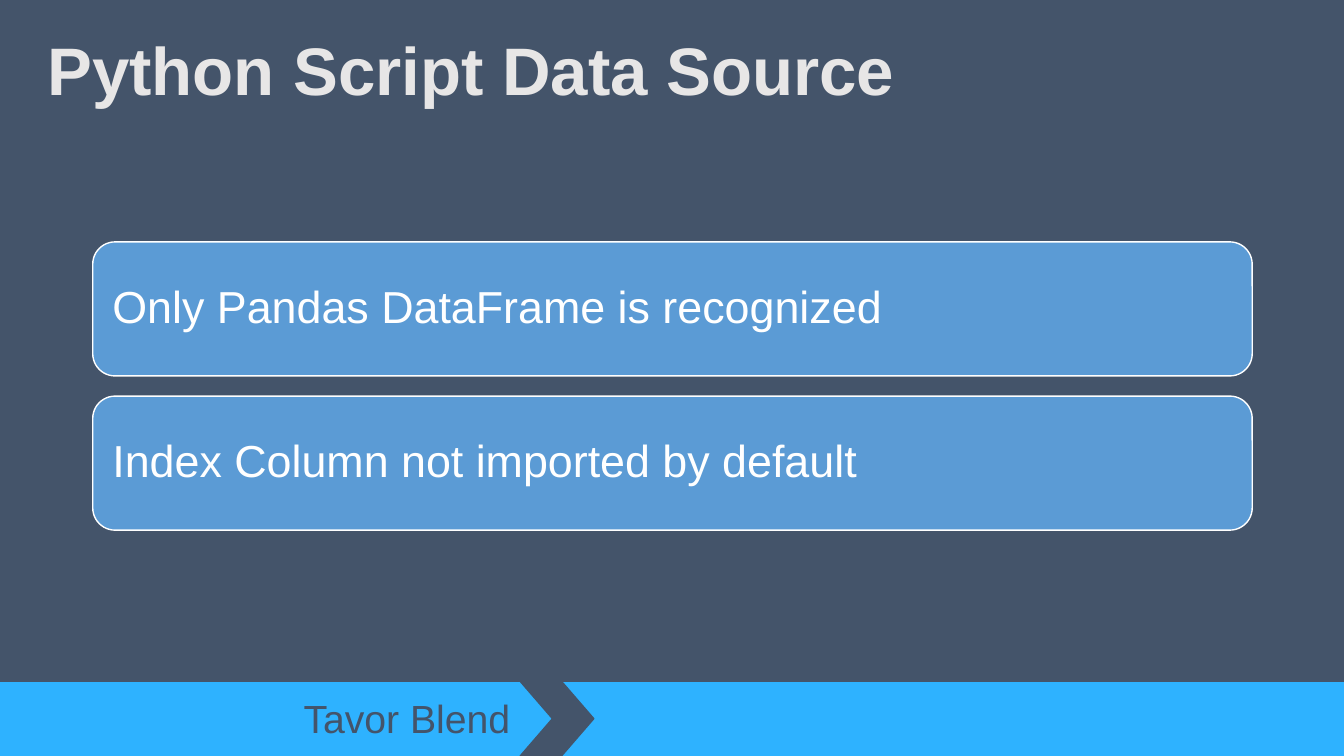
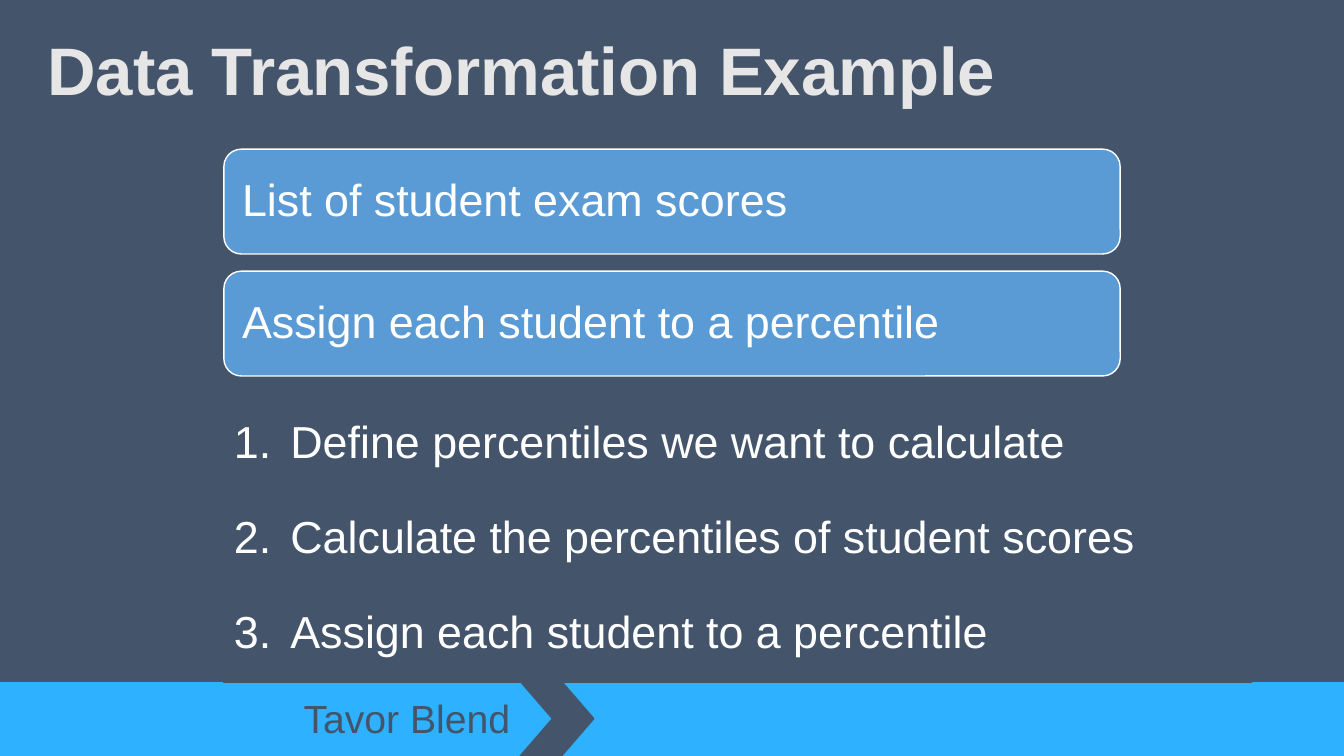
import dataclasses
from typing import Any

import pptx
import pptx.dml.color
import pptx.enum.shapes
import pptx.enum.text
import pptx.oxml.ns
import pptx.util
from lxml import etree

Inches = pptx.util.Inches
Pt = pptx.util.Pt
Geometry = pptx.enum.shapes.MSO_SHAPE
Align = pptx.enum.text.PP_ALIGN
Anchor = pptx.enum.text.MSO_ANCHOR
qn = pptx.oxml.ns.qn

FONT = "Arial"
SLATE = "44546A"
BRIGHT = "2EB2FF"
CARD_BLUE = "5B9BD5"
WHITE = "FFFFFF"
TITLE_GREY = "E7E6E6"
SLIDE_WIDTH, SLIDE_HEIGHT = 13.33, 7.5
TITLE_ONLY, TITLE_AND_CONTENT = 5, 1
FIRST_MASTER_ID = 100


@dataclasses.dataclass(frozen=True)
class Box:
    """Position and size in inches."""

    left: float
    top: float
    width: float
    height: float


@dataclasses.dataclass(frozen=True)
class CardStack:
    """Equal cards under one another, with a fixed gap."""

    first: Box
    gap: float
    texts: tuple[str, ...]


@dataclasses.dataclass(frozen=True)
class Topic:
    """Content of one slide."""

    title: str
    cards: CardStack
    steps: tuple[str, ...] = ()


TITLE_BOX = Box(0.37, 0.01, 11.5, 1.45)
STEPS_BOX = Box(2.22, 3.79, 10.19, 2.98)
BAND_BOX = Box(0, 6.77, SLIDE_WIDTH, 0.73)
CHEVRON_BOX = Box(5.16, 6.76, 0.73, 0.74)
SECTION_BOX = Box(2.26, 6.84, 2.9, 0.57)

TOPICS = (
    Topic(
        "Python Script Data Source",
        CardStack(
            Box(0.92, 2.4, 11.5, 1.33),
            0.2,
            ("Only Pandas DataFrame is recognized", "Index Column not imported by default"),
        ),
    ),
    Topic(
        "Data Transformation Example",
        CardStack(
            Box(2.22, 1.48, 8.89, 1.04),
            0.17,
            ("List of student exam scores", "Assign each student to a percentile"),
        ),
        (
            "Define percentiles we want to calculate",
            "Calculate the percentiles of student scores",
            "Assign each student to a percentile",
        ),
    ),
)


def rgb(value: str) -> pptx.dml.color.RGBColor:
    """Turn a hex string into a colour."""
    return pptx.dml.color.RGBColor.from_string(value)


def lengths(box: Box) -> tuple[int, ...]:
    """Give the box as four lengths."""
    return tuple(Inches(value) for value in dataclasses.astuple(box))


def place(shape: Any, box: Box) -> None:
    """Move and size a shape."""
    shape.left, shape.top, shape.width, shape.height = lengths(box)


def outline(shape: Any, color: str, width: float) -> None:
    """Draw a plain line around a shape."""
    shape.line.color.rgb = rgb(color)
    shape.line.width = Pt(width)


def format_text(
    frame: Any, size: float, color: str, bold: bool = False,
    align: Any = Align.LEFT, spacing: float = 1.0, anchor: Any = Anchor.MIDDLE,
) -> None:
    """Format all the text of a frame alike."""
    frame.word_wrap = True
    frame.auto_size = pptx.enum.text.MSO_AUTO_SIZE.NONE
    frame.vertical_anchor = anchor
    for paragraph in frame.paragraphs:
        paragraph.alignment = align
        paragraph.line_spacing = spacing
        for run in paragraph.runs:
            run.font.name = FONT
            run.font.size = Pt(size)
            run.font.bold = bold
            run.font.color.rgb = rgb(color)


def add_filled(slide: Any, geometry: Any, box: Box, fill: str, line: str) -> Any:
    """Add a filled preset shape without shadow."""
    shape = slide.shapes.add_shape(geometry, *lengths(box))
    shape.shadow.inherit = False
    shape.fill.solid()
    shape.fill.fore_color.rgb = rgb(fill)
    outline(shape, line, 1)
    return shape


def build_master(master: Any, slide: Any) -> None:
    """Give the master its background and footer, drawn first on a slide."""
    master.background.fill.solid()
    master.background.fill.fore_color.rgb = rgb(SLATE)
    band = add_filled(slide, Geometry.RECTANGLE, BAND_BOX, BRIGHT, BRIGHT)
    chevron = add_filled(slide, Geometry.CHEVRON, CHEVRON_BOX, SLATE, SLATE)
    chevron.adjustments[0] = 0.438
    section = slide.shapes.add_textbox(*lengths(SECTION_BOX))
    section.text_frame.text = "Tavor Blend"
    format_text(section.text_frame, 28, SLATE, align=Align.RIGHT)
    for shape_id, part in enumerate((band, chevron, section), FIRST_MASTER_ID):
        part.element.find(".//" + qn("p:cNvPr")).set("id", str(shape_id))
        master.shapes.element.append(part.element)


def add_steps(body: Any, steps: tuple[str, ...]) -> None:
    """Fill the body placeholder with a numbered list."""
    place(body, STEPS_BOX)
    outline(body, SLATE, 0.75)
    frame = body.text_frame
    frame.text = "\n".join(steps)
    format_text(frame, 32, WHITE, spacing=1.5, anchor=Anchor.TOP)
    indent = Inches(0.56)
    for paragraph in frame.paragraphs:
        paragraph.space_before = Pt(10)
        properties = paragraph._p.get_or_add_pPr()
        properties.set("marL", str(indent))
        properties.set("indent", str(-indent))
        etree.SubElement(properties, qn("a:buFont")).set("typeface", "+mj-lt")
        etree.SubElement(properties, qn("a:buAutoNum")).set("type", "arabicPeriod")


def add_cards(slide: Any, stack: CardStack) -> None:
    """Stack the rounded cards."""
    for index, text in enumerate(stack.texts):
        top = stack.first.top + index * (stack.first.height + stack.gap)
        box = dataclasses.replace(stack.first, top=top)
        card = add_filled(slide, Geometry.ROUNDED_RECTANGLE, box, CARD_BLUE, WHITE)
        frame = card.text_frame
        frame.margin_left = frame.margin_right = Inches(0.13)
        frame.margin_top = frame.margin_bottom = Inches(0.13)
        frame.text = text
        format_text(frame, 32, WHITE, spacing=0.9)


def add_topic(deck: Any, topic: Topic) -> Any:
    """Add one slide with title, optional steps and cards."""
    layout = TITLE_AND_CONTENT if topic.steps else TITLE_ONLY
    slide = deck.slides.add_slide(deck.slide_layouts[layout])
    title = slide.shapes.title
    place(title, TITLE_BOX)
    title.text_frame.text = topic.title
    format_text(title.text_frame, 48, TITLE_GREY, bold=True, spacing=0.9)
    if topic.steps:
        add_steps(slide.placeholders[1], topic.steps)
    add_cards(slide, topic.cards)
    return slide


def main() -> None:
    """Build and save the deck."""
    deck = pptx.Presentation()
    deck.slide_width, deck.slide_height = Inches(SLIDE_WIDTH), Inches(SLIDE_HEIGHT)
    slides = [add_topic(deck, topic) for topic in TOPICS]
    build_master(deck.slide_master, slides[0])
    deck.save("out.pptx")


if __name__ == "__main__":
    main()
